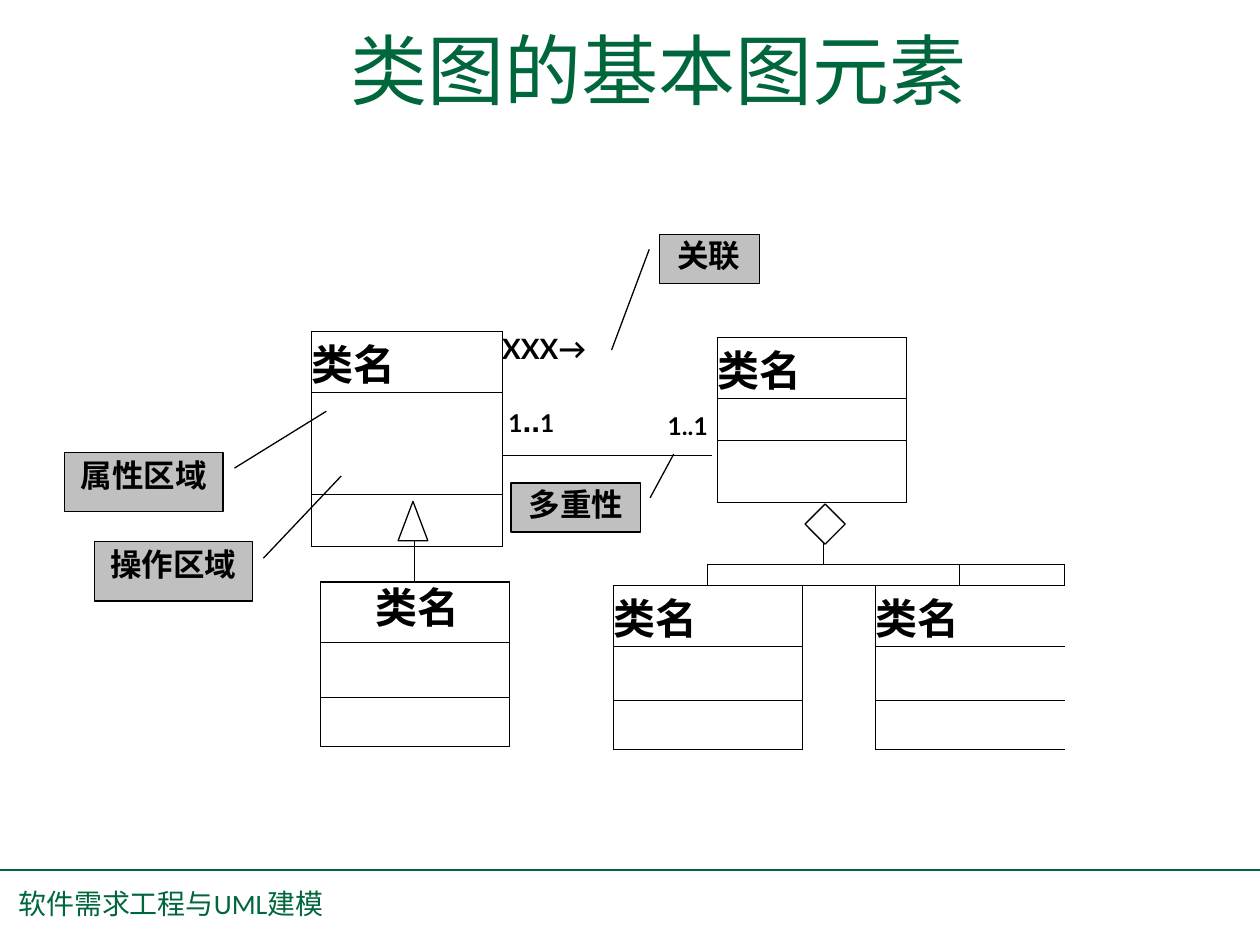
from lxml import etree
from pptx import Presentation
from pptx.dml.color import RGBColor
from pptx.enum.shapes import MSO_CONNECTOR, MSO_SHAPE
from pptx.enum.text import MSO_ANCHOR
from pptx.oxml.ns import qn
from pptx.util import Pt

STRAIGHT = MSO_CONNECTOR.STRAIGHT
RECTANGLE = MSO_SHAPE.RECTANGLE
TRIANGLE = MSO_SHAPE.ISOSCELES_TRIANGLE
DIAMOND = MSO_SHAPE.DIAMOND
TOP = MSO_ANCHOR.TOP
CJK = "Noto Sans CJK SC"
GREEN, BLACK, GRAY = "00663B", "000000", "C0C0C0"
NO_GRID = "{2D5ABB26-0587-4C30-8999-92F81FD0307C}"
EDGES = {"l": "lnL", "r": "lnR", "t": "lnT", "b": "lnB"}


def write(frame, text, font=CJK, size=18, color=BLACK, bold=True, left=0, top=0):
    frame.margin_left, frame.margin_top = Pt(left), Pt(top)
    frame.margin_right = frame.margin_bottom = 0
    frame.vertical_anchor = TOP
    frame.word_wrap = True
    span = frame.paragraphs[0].add_run()
    span.text = text
    span.font.name = font
    span.font.size = Pt(size)
    span.font.bold = bold
    span.font.color.rgb = RGBColor.from_string(color)
    if font == CJK:
        etree.SubElement(span._r.rPr, qn("a:ea"), typeface=CJK)


def draw_table(left, top, widths, heights, cells):
    frame = page.shapes.add_table(len(heights), len(widths), Pt(left), Pt(top),
                                  Pt(sum(widths)), Pt(sum(heights)))
    table = frame.table
    table.first_row = table.horz_banding = False
    table._tbl.tblPr.find(qn("a:tableStyleId")).text = NO_GRID
    for column, width in zip(table.columns, widths):
        column.width = Pt(width)
    for row, height in zip(table.rows, heights):
        row.height = Pt(height)
    for cell in table.iter_cells():
        cell.margin_left = cell.margin_right = cell.margin_top = cell.margin_bottom = 0
        etree.SubElement(cell.text_frame.paragraphs[0]._p, qn("a:endParaRPr"), sz="600")
    for row, column, row_span, column_span, sides in cells:
        last_row, last_column = row + row_span - 1, column + column_span - 1
        if row_span * column_span > 1:
            table.cell(row, column).merge(table.cell(last_row, last_column))
        for r in range(row, last_row + 1):
            for c in range(column, last_column + 1):
                outer = {"l": c == column, "r": c == last_column,
                         "t": r == row, "b": r == last_row}
                properties = table.cell(r, c)._tc.get_or_add_tcPr()
                for side, tag in EDGES.items():
                    if side in sides and outer[side]:
                        line = etree.SubElement(properties, qn(f"a:{tag}"), w=str(Pt(0.75)))
                        fill = etree.SubElement(line, qn("a:solidFill"))
                        etree.SubElement(fill, qn("a:srgbClr"), val=BLACK)
    for cell in table.iter_cells():
        cell.fill.background()
    return table


deck = Presentation()
deck.slide_width, deck.slide_height = Pt(720), Pt(540)
page = deck.slides.add_slide(deck.slide_layouts[6])

association = draw_table(178, 189.5, [109, 120], [34.5, 36, 22.5, 29.5], [
    (0, 0, 1, 1, "lrtb"), (0, 1, 2, 1, "lb"), (1, 0, 2, 1, "lrtb"),
    (2, 1, 2, 1, "lt"), (3, 0, 1, 1, "lrtb")])
whole = draw_table(410, 193, [108], [34.5, 24, 35.5],
                   [(row, 0, 1, 1, "lrtb") for row in range(3)])
parts = draw_table(350.5, 310.5, [54, 54, 12, 30, 48, 60], [12, 12, 35, 31, 28], [
    (0, 0, 1, 3, "r"), (0, 3, 1, 3, "l"),
    (1, 0, 1, 1, "rb"), (1, 1, 1, 4, "lrtb"), (1, 5, 1, 1, "ltb"),
    (2, 2, 3, 2, "lr")] + [
    (row, column, 1, 2, "lrtb") for row in (2, 3, 4) for column in (0, 4)])

for table, row, column, left in [(association, 0, 0, 31.5), (whole, 0, 0, 31.5),
                                 (parts, 2, 0, 31.5), (parts, 2, 4, 43)]:
    write(table.cell(row, column).text_frame, "类名", size=24, left=left)
write(association.cell(0, 1).text_frame, "XXX→", font="Lato", size=16, left=33, top=17)

for kind, left, top, width, height, fill, text, size, indent, inset in [
    (RECTANGLE, 183, 332.5, 108, 94, None, "", 0, 0, 0),
    (RECTANGLE, 183, 332.5, 108, 34.5, None, "类名", 24, 31.5, 0),
    (TRIANGLE, 227.5, 286.5, 17, 22.5, None, "", 0, 0, 0),
    (DIAMOND, 460, 288, 23, 23, None, "", 0, 0, 0),
    (RECTANGLE, 37, 258.5, 90.5, 34, GRAY, "属性区域", 18, 9, 2),
    (RECTANGLE, 54, 309.5, 90.5, 34, GRAY, "操作区域", 18, 9, 2),
    (RECTANGLE, 377, 134, 57, 28, GRAY, "关联", 18, 10, 1),
    (RECTANGLE, 292, 276, 74, 28, GRAY, "多重性", 18, 10, 1),
]:
    box = page.shapes.add_shape(kind, Pt(left), Pt(top), Pt(width), Pt(height))
    box.shadow.inherit = False
    box.line.color.rgb = RGBColor.from_string(BLACK)
    box.line.width = Pt(0.75)
    if fill:
        box.fill.solid()
        box.fill.fore_color.rgb = RGBColor.from_string(fill)
    else:
        box.fill.background()
    if text:
        write(box.text_frame, text, size=size, left=indent, top=inset)
        box.text_frame.paragraphs[0].alignment = 1

for x1, y1, x2, y2, color, width in [
    (0, 497, 720, 497, GREEN, 1),
    (237, 309, 237, 332.5, BLACK, 0.75),
    (183, 367, 291, 367, BLACK, 0.75),
    (183, 398.5, 291, 398.5, BLACK, 0.75),
    (134, 267.5, 186.5, 235, BLACK, 0.75),
    (150.5, 319, 195, 272, BLACK, 0.75),
    (371, 142.5, 349.5, 200, BLACK, 0.75),
    (371.5, 284.5, 385, 259.5, BLACK, 0.75),
]:
    line = page.shapes.add_connector(STRAIGHT, Pt(x1), Pt(y1), Pt(x2), Pt(y2))
    line.line.color.rgb = RGBColor.from_string(color)
    line.line.width = Pt(width)
    etree.SubElement(line._element.spPr, qn("a:effectLst"))

for left, top, width, height, spans in [
    (200, 13, 356, 58, [("类图的基本图元素", CJK, 44, GREEN, False)]),
    (290, 229, 32, 24, [("1", "Lato", 14, BLACK, True), ("..", "Arial", 18, BLACK, True),
                        ("1", "Lato", 14, BLACK, True)]),
    (381, 235, 29, 19, [("1..1", "Lato", 14, BLACK, True)]),
    (10, 509, 176, 20, [("软件需求工程与", CJK, 16, GREEN, False),
                        ("UML", "Calibri", 16, GREEN, False),
                        ("建模", CJK, 16, GREEN, False)]),
]:
    box = page.shapes.add_textbox(Pt(left), Pt(top), Pt(width), Pt(height))
    for text, font, size, color, bold in spans:
        write(box.text_frame, text, font=font, size=size, color=color, bold=bold, left=0.5)
box.text_frame.paragraphs[0].line_spacing = Pt(17)

deck.save("out.pptx")
